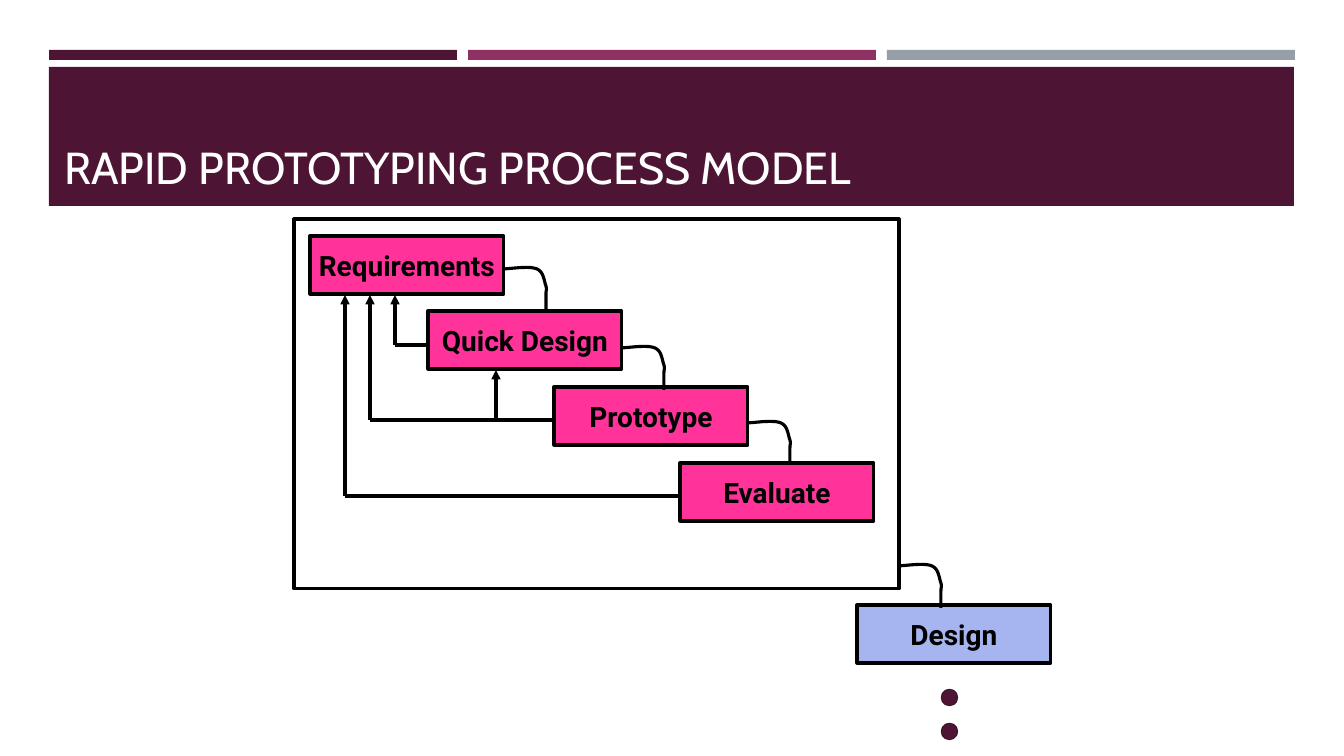
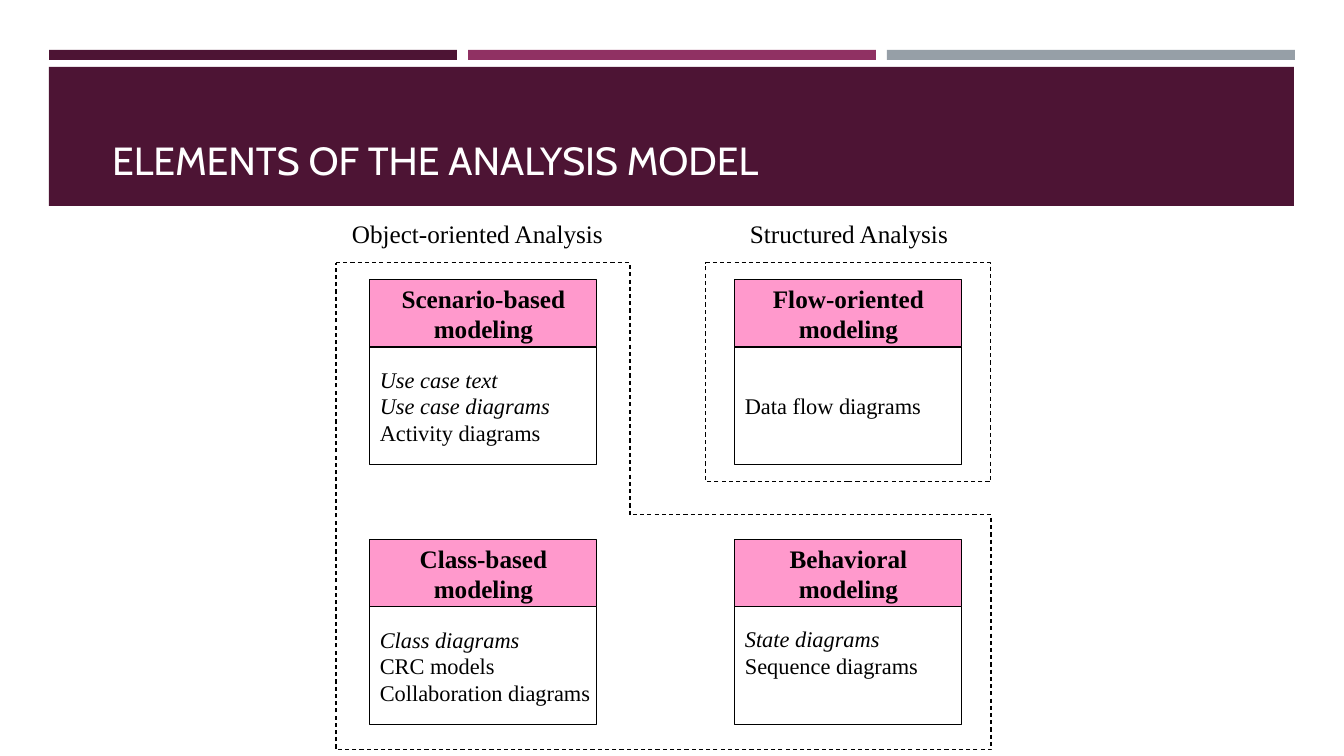
from dataclasses import dataclass

from lxml.etree import SubElement
from pptx import Presentation
from pptx.dml.color import RGBColor
from pptx.enum.dml import MSO_LINE
from pptx.enum.shapes import MSO_CONNECTOR, MSO_SHAPE
from pptx.enum.text import MSO_ANCHOR, MSO_AUTO_SIZE, PP_ALIGN
from pptx.oxml.ns import qn
from pptx.util import Emu, Pt

EMU_PER_PX = 914400 / 100.8


@dataclass(frozen=True)
class Theme:
    plum: str = "4D1434"
    magenta: str = "903163"
    grey: str = "969FA7"
    white: str = "FFFFFF"
    black: str = "000000"
    hot_pink: str = "FF3399"
    pale_pink: str = "FF99CC"
    periwinkle: str = "A6B4F0"
    title_font: str = "Cabin"
    step_font: str = "Roboto"
    card_font: str = "Times New Roman"
    step_size: int = 20
    head_size: int = 18
    body_size: int = 16
    heavy: float = 2.25
    thin: float = 0.75
    hair: float = 0.25


THEME = Theme()

# Bezier control points of a hook, relative to its start
HOOK = [
    [(0, 0), (13, -1), (26, -3), (33, 0)],
    [(33, 0), (40, 3), (40, 12), (42, 17)],
    [(42, 17), (43, 21), (42, 21), (42, 25)],
    [(42, 25), (42, 29), (42, 39), (42, 42)],
]


def px(*values):
    return [Emu(round(v * EMU_PER_PX)) for v in values]


def rgb(code):
    return RGBColor.from_string(code)


# Basic elements

def style_shape(sp, fill=None, width=None, dash=False):
    sp.shadow.inherit = False
    if fill:
        sp.fill.solid()
        sp.fill.fore_color.rgb = rgb(fill)
    else:
        sp.fill.background()
    if width:
        style_line(sp.line, width, dash)
    else:
        sp.line.fill.background()
    return sp


def style_line(line, width, dash=False):
    line.color.rgb = rgb(THEME.black)
    line.width = Pt(width)
    if dash:
        line.dash_style = MSO_LINE.DASH


def add_block(slide, box, fill=None, width=None, dash=False, kind=MSO_SHAPE.RECTANGLE):
    return style_shape(slide.shapes.add_shape(kind, *px(*box)), fill, width, dash)


def add_outline(slide, points, width, close=False, dash=False):
    corners = [px(*point) for point in points]
    builder = slide.shapes.build_freeform(*corners[0])
    builder.add_line_segments(corners[1:], close=close)
    return style_shape(builder.convert_to_shape(), None, width, dash)


def add_line(slide, start, end, arrow=False):
    cn = slide.shapes.add_connector(MSO_CONNECTOR.STRAIGHT, *px(*start, *end))
    style_line(cn.line, THEME.heavy)
    if arrow:
        SubElement(cn.get_or_add_ln(), qn("a:tailEnd"), type="triangle")
    SubElement(cn.element.spPr, qn("a:effectLst"))


def write(sp, lines, font, size, bold=False, italics=0,
          align=PP_ALIGN.CENTER, anchor=MSO_ANCHOR.MIDDLE):
    """Fill a shape with one paragraph a line; the first `italics` lines slant."""
    tf = sp.text_frame
    tf.word_wrap = False
    tf.vertical_anchor = anchor
    tf.text = "\n".join(lines)
    for i, p in enumerate(tf.paragraphs):
        p.alignment = align
        p.font.name = font
        p.font.size = Pt(size)
        p.font.bold = bold
        p.font.italic = i < italics
        p.font.color.rgb = rgb(THEME.black)
    return tf


# Shared design

def add_bands(slide, layout):
    """Draw the bands and move them behind everything on the layout."""
    bands = [((49 + 419 * i, 50, 408, 10), color)
             for i, color in enumerate((THEME.plum, THEME.magenta, THEME.grey))]
    bands.append(((49, 67, 1245, 139), THEME.plum))
    for i, (box, color) in enumerate(bands):
        layout.shapes.element.insert(2 + i, add_block(slide, box, color).element)


def set_title(slide, text, box, size):
    sp = slide.shapes.title
    sp.left, sp.top, sp.width, sp.height = px(*box)
    tf = sp.text_frame
    tf.text = text
    tf.word_wrap = True
    tf.auto_size = MSO_AUTO_SIZE.NONE
    tf.vertical_anchor = MSO_ANCHOR.BOTTOM
    p = tf.paragraphs[0]
    p.alignment = PP_ALIGN.LEFT
    p.font.name = THEME.title_font
    p.font.size = Pt(size)
    p.font.color.rgb = rgb(THEME.white)


# Process model elements

def add_step(slide, label, x, y, fill=THEME.hot_pink):
    sp = add_block(slide, (x, y, 194, 58), fill, THEME.heavy)
    write(sp, [label], THEME.step_font, THEME.step_size, bold=True)


def add_hook(slide, x, y, steps=8):
    points = [(x, y)]
    for a, b, c, d in HOOK:
        for k in range(1, steps + 1):
            t = k / steps
            weights = ((1 - t) ** 3, 3 * t * (1 - t) ** 2, 3 * t * t * (1 - t), t ** 3)
            points.append(tuple(
                origin + sum(w * pt[axis] for w, pt in zip(weights, (a, b, c, d)))
                for axis, origin in enumerate((x, y))))
    add_outline(slide, points, THEME.heavy)


def add_feedback(slide, start_x, y, end_x, top):
    if start_x != end_x:
        add_line(slide, (start_x, y), (end_x, y))
    add_line(slide, (end_x, y), (end_x, top), arrow=True)


# Analysis model elements

def add_card(slide, x, y, head, body, italics=0, pad=0):
    sp = add_block(slide, (x, y + 67, 227, 118), THEME.white, THEME.thin)
    tf = write(sp, body, THEME.card_font, THEME.body_size,
               italics=italics, align=PP_ALIGN.LEFT)
    tf.margin_bottom = px(5 + pad)[0]
    sp = add_block(slide, (x, y, 227, 67), THEME.pale_pink, THEME.thin)
    write(sp, [head, "modeling"], THEME.card_font, THEME.head_size, bold=True)


def add_label(slide, text, box):
    sp = slide.shapes.add_textbox(*px(*box))
    write(sp, [text], THEME.card_font, THEME.head_size, anchor=MSO_ANCHOR.TOP)


# Slides

def build_process(slide):
    set_title(slide, "RAPID PROTOTYPING PROCESS MODEL", (54, 101, 857, 98), 32)
    for label, x, y in (("Requirements", 310, 236), ("Quick Design", 428, 311),
                        ("Prototype", 554, 387), ("Evaluate", 680, 463)):
        add_step(slide, label, x, y)
    add_step(slide, "Design", 857, 605, THEME.periwinkle)
    add_block(slide, (294, 219, 605, 370), width=THEME.heavy)
    for x, y in ((504, 269), (622, 348), (748, 423), (899, 566)):
        add_hook(slide, x, y)
    for route in ((680, 496, 345, 295), (554, 420, 370, 295),
                  (428, 345, 395, 295), (496, 420, 496, 370)):
        add_feedback(slide, *route)
    for y in (689, 723):
        add_block(slide, (941, y, 17, 17), THEME.plum, THEME.hair, kind=MSO_SHAPE.OVAL)


def build_analysis(slide):
    set_title(slide, "ELEMENTS OF THE ANALYSIS MODEL", (102, 120, 857, 68), 28)
    left, right, upper, lower = 370, 735, 280, 540
    add_card(slide, left, upper, "Scenario-based",
             ["Use case text", "Use case diagrams", "Activity diagrams"], italics=2)
    add_card(slide, left, lower, "Class-based",
             ["Class diagrams", "CRC models", "Collaboration diagrams"], italics=1)
    add_card(slide, right, upper, "Flow-oriented", ["Data flow diagrams"])
    add_card(slide, right, lower, "Behavioral",
             ["State diagrams", "Sequence diagrams"], italics=1, pad=27)
    # Dashed regions and their headings
    add_block(slide, (706, 263, 285, 219), width=THEME.thin, dash=True)
    add_outline(slide, [(336, 263), (630, 263), (630, 515), (991, 515),
                        (991, 750), (336, 750)], THEME.thin, close=True, dash=True)
    add_label(slide, "Object-oriented Analysis", (341, 213, 273, 40))
    add_label(slide, "Structured Analysis", (739, 213, 220, 40))


def main():
    prs = Presentation()
    prs.slide_width, prs.slide_height = px(1344, 756)
    layout = prs.slide_layouts.get_by_name("Title Only")
    process, analysis = (prs.slides.add_slide(layout) for _ in range(2))
    add_bands(process, layout)
    build_process(process)
    build_analysis(analysis)
    prs.save("out.pptx")


main()
